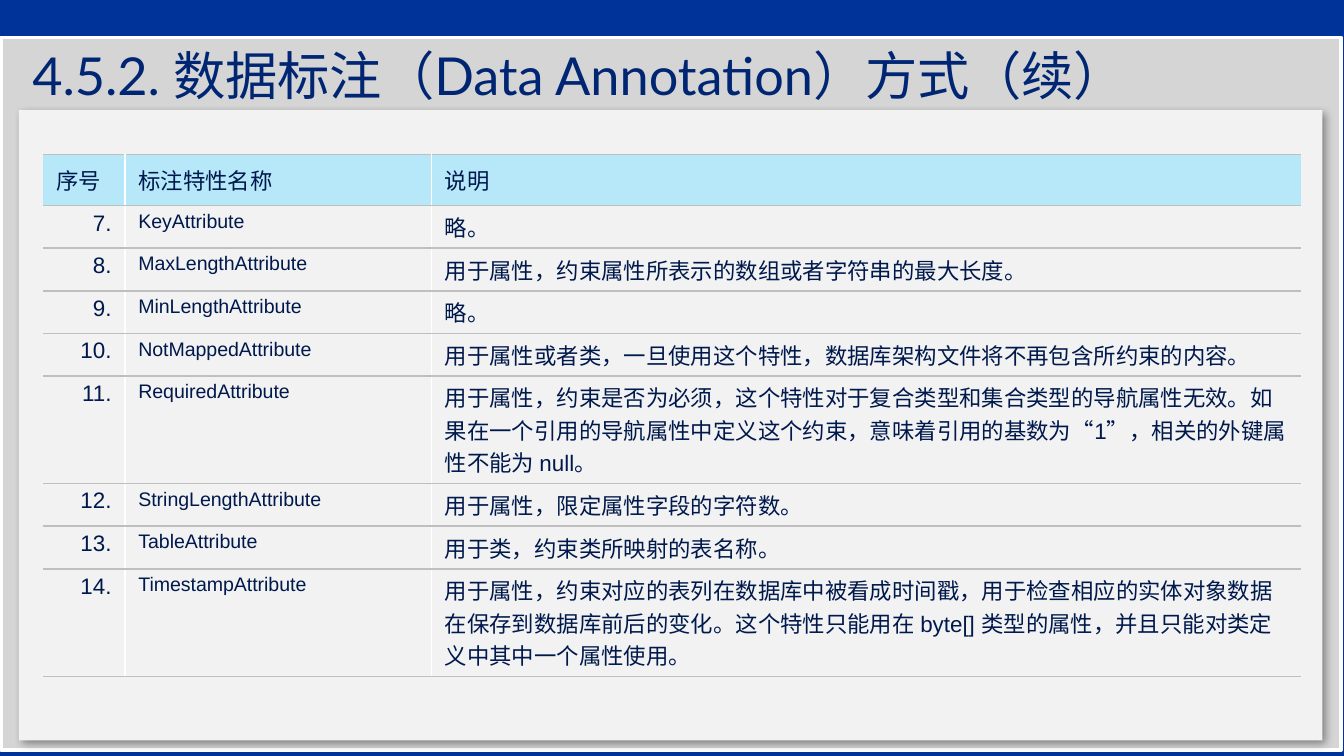
"""Build a slide with a table of data annotation attributes."""
import pptx
import pptx.dml.color
import pptx.enum.shapes
import pptx.enum.text
import pptx.oxml
import pptx.oxml.ns
import pptx.util

Inches, Pt = pptx.util.Inches, pptx.util.Pt
RGBColor = pptx.dml.color.RGBColor
PP_ALIGN, MSO_ANCHOR = pptx.enum.text.PP_ALIGN, pptx.enum.text.MSO_ANCHOR

TITLE = "4.5.2. 数据标注（Data Annotation）方式（续）"
HEADINGS = ("序号", "标注特性名称", "说明")
FIRST_NUMBER = 7
ATTRIBUTES = [
    ("KeyAttribute", "略。"),
    ("MaxLengthAttribute", "用于属性，约束属性所表示的数组或者字符串的最大长度。"),
    ("MinLengthAttribute", "略。"),
    ("NotMappedAttribute", "用于属性或者类，一旦使用这个特性，数据库架构文件将不再包含所约束的内容。"),
    ("RequiredAttribute",
     "用于属性，约束是否为必须，这个特性对于复合类型和集合类型的导航属性无效。"
     "如果在一个引用的导航属性中定义这个约束，意味着引用的基数为“1”，相关的外键属性不能为 null。"),
    ("StringLengthAttribute", "用于属性，限定属性字段的字符数。"),
    ("TableAttribute", "用于类，约束类所映射的表名称。"),
    ("TimestampAttribute",
     "用于属性，约束对应的表列在数据库中被看成时间戳，用于检查相应的实体对象数据在保存到数据库前后的变化。"
     "这个特性只能用在 byte[] 类型的属性，并且只能对类定义中其中一个属性使用。"),
]
COLUMN_WIDTHS = (0.61, 2.28, 6.47)
ROW_HEIGHTS = [0.38, 0.28] + [0.3] * (len(ATTRIBUTES) - 1)
TEXT_SIZES = (12, 10.5, 12)

BLUE = RGBColor(0x00, 0x33, 0x99)
FRAME_GREY = RGBColor(0xD5, 0xD5, 0xD5)
PANEL_GREY = RGBColor(0xF2, 0xF2, 0xF2)
TITLE_BLUE = RGBColor(0x00, 0x26, 0x73)
TEXT_BLUE = RGBColor(0x00, 0x19, 0x4C)
HEADER_BLUE = RGBColor(0xB6, 0xE8, 0xFA)
RULE_GREY = RGBColor(0xBF, 0xBF, 0xBF)
WHITE = RGBColor(0xFF, 0xFF, 0xFF)

NAMESPACE = pptx.oxml.ns.nsdecls("a")


def add_panel(slide, box, color):
    panel = slide.shapes.add_shape(
        pptx.enum.shapes.MSO_SHAPE.RECTANGLE, *map(Inches, box))
    panel.shadow.inherit = False
    panel.fill.solid()
    panel.fill.fore_color.rgb = color
    panel.line.fill.background()
    slide.shapes.title.element.addprevious(panel.element)
    return panel


def cast_shadow(panel):
    effects = panel.element.spPr.find(pptx.oxml.ns.qn("a:effectLst"))
    effects.append(pptx.oxml.parse_xml(
        f'<a:outerShdw {NAMESPACE} blurRad="{Pt(4)}" dist="{Pt(3)}" dir="2700000" '
        'algn="tl" rotWithShape="0"><a:srgbClr val="000000">'
        '<a:alpha val="40000"/></a:srgbClr></a:outerShdw>'))


def style_text(paragraph, font, size, color):
    for run in paragraph.runs:
        run.font.name, run.font.size = font, Pt(size)
        run.font.color.rgb = color


def set_borders(cell, left, right, top, bottom):
    properties = cell._tc.get_or_add_tcPr()
    for index, (side, color) in enumerate(zip("LRTB", (left, right, top, bottom))):
        paint = (f'<a:solidFill><a:srgbClr val="{color}"/></a:solidFill>'
                 if color else "<a:noFill/>")
        properties.insert(index, pptx.oxml.parse_xml(
            f'<a:ln{side} {NAMESPACE} w="{Pt(1)}">{paint}</a:ln{side}>'))


def fill_cell(cell, text, row, column):
    cell.text = text
    paragraph = cell.text_frame.paragraphs[0]
    cell.margin_left = cell.margin_right = Inches(0.1)
    cell.margin_top = cell.margin_bottom = Pt(2.7)
    if row == 0:
        cell.vertical_anchor = MSO_ANCHOR.MIDDLE
        cell.fill.solid()
        cell.fill.fore_color.rgb = HEADER_BLUE
    else:
        cell.vertical_anchor = MSO_ANCHOR.TOP
        cell.fill.background()
        if column == 0:
            paragraph.alignment = PP_ALIGN.RIGHT
    style_text(paragraph, "Arial", 12 if row == 0 else TEXT_SIZES[column], TEXT_BLUE)
    last_column = len(HEADINGS) - 1
    set_borders(cell, WHITE if column > 0 else None,
                WHITE if column < last_column else None, RULE_GREY, RULE_GREY)


def add_attribute_table(slide):
    rows = [HEADINGS] + [(f"{number}.", *attribute) for number, attribute
                         in enumerate(ATTRIBUTES, FIRST_NUMBER)]
    table = slide.shapes.add_table(
        len(rows), len(HEADINGS), Inches(0.32), Inches(1.15),
        Inches(sum(COLUMN_WIDTHS)), Inches(sum(ROW_HEIGHTS))).table
    table.first_row = table.horz_banding = False
    for column, width in zip(table.columns, COLUMN_WIDTHS):
        column.width = Inches(width)
    for row, height in zip(table.rows, ROW_HEIGHTS):
        row.height = Inches(height)
    for row, texts in enumerate(rows):
        for column, text in enumerate(texts):
            fill_cell(table.cell(row, column), text, row, column)


def main():
    deck = pptx.Presentation()
    deck.slide_width = Inches(10)
    deck.slide_height = deck.slide_width * 9 // 16
    slide = deck.slides.add_slide(deck.slide_layouts[5])
    slide.background.fill.solid()
    slide.background.fill.fore_color.rgb = BLUE

    frame = add_panel(slide, (0.01, 0.28, 9.97, 5.3), FRAME_GREY)
    frame.line.color.rgb = WHITE
    frame.line.width = Pt(2)
    cast_shadow(add_panel(slide, (0.14, 0.82, 9.7, 4.69), PANEL_GREY))

    title = slide.shapes.title
    title.left, title.top, title.width, title.height = map(
        Inches, (0.14, 0.36, 9.69, 0.39))
    title.text_frame.text = TITLE
    title.text_frame.auto_size = pptx.enum.text.MSO_AUTO_SIZE.NONE
    title.text_frame.vertical_anchor = MSO_ANCHOR.MIDDLE
    heading = title.text_frame.paragraphs[0]
    heading.alignment = PP_ALIGN.LEFT
    style_text(heading, "Lato", 28, TITLE_BLUE)

    add_attribute_table(slide)
    deck.save("out.pptx")


if __name__ == "__main__":
    main()
